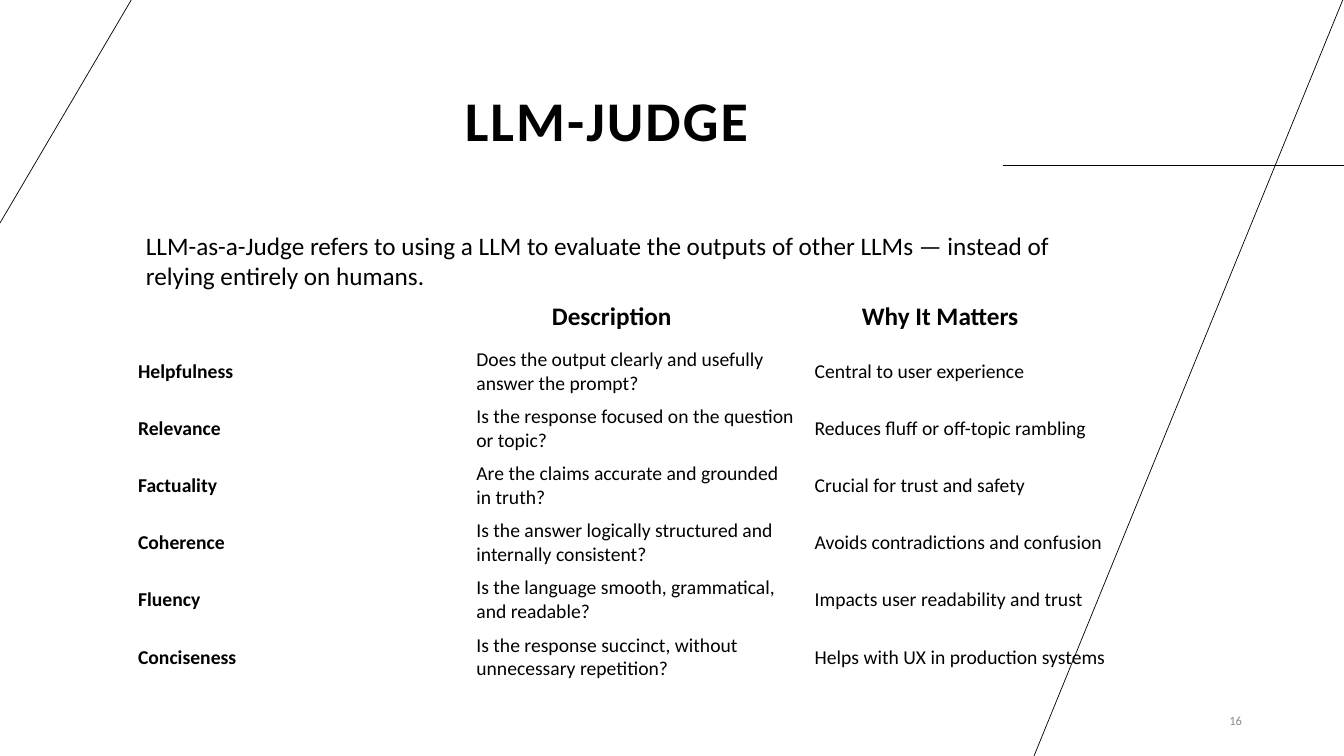
from pptx import Presentation, util as u
from pptx.dml.color import RGBColor
from pptx.enum import shapes, text
from pptx.oxml.ns import qn
from lxml import etree

BLACK = RGBColor(0x00, 0x00, 0x00)
GRAY = RGBColor(0x8C, 0x8C, 0x8C)
FONT = "Calibri"
NO_GRID = "{2D5ABB26-0587-4C30-8999-92F81FD0307C}"


def px(*vals):
    return [u.Emu(round(v * 914400 / 100.8)) for v in vals]


def add_run(par, words, size, bold=False, color=BLACK):
    run = par.add_run()
    run.text = words
    run.font.name = FONT
    run.font.size = u.Pt(size)
    run.font.bold = bold
    run.font.color.rgb = color
    return run


prs = Presentation()
prs.slide_width, prs.slide_height = px(1344, 756)
slide = prs.slides.add_slide(prs.slide_layouts[5])

# Thin decorative lines
for ends in [(1003, 165, 1344, 165), (1344, -3, 1034, 756), (0, 223, 133, -3)]:
    line = slide.shapes.add_connector(shapes.MSO_CONNECTOR.STRAIGHT, *px(*ends))
    line.line.color.rgb = BLACK
    line.line.width = u.Pt(0.5)
    etree.SubElement(line._element.spPr, qn("a:effectLst"))

# Title
title = slide.shapes.title
title.left, title.top, title.width, title.height = px(99, -75, 1015, 234)
frame = title.text_frame
frame.vertical_anchor = text.MSO_ANCHOR.BOTTOM
frame.word_wrap = True
par = frame.paragraphs[0]
par.alignment = text.PP_ALIGN.CENTER
par.line_spacing = 0.9
run = add_run(par, "LLM-JUDGE", 40, True)
run._r.get_or_add_rPr().set("spc", "150")

# Intro, column heads and page number
LEFT, RIGHT = text.PP_ALIGN.LEFT, text.PP_ALIGN.RIGHT
TOP, MID = text.MSO_ANCHOR.TOP, text.MSO_ANCHOR.MIDDLE
intro = ("LLM-as-a-Judge refers to using a LLM to evaluate the outputs of "
         "other LLMs — instead of relying entirely on humans.")
labels = [
    (intro, (136, 225, 941, 72), 18, False, BLACK, LEFT, TOP, True),
    ("Why It Matters", (852, 295, 185, 40), 18, True, BLACK, LEFT, TOP, False),
    ("Description", (542, 295, 145, 72), 18, True, BLACK, LEFT, TOP, False),
    ("16", (1143, 701, 109, 40), 9, False, GRAY, RIGHT, MID, True),
]
for words, area, size, bold, color, align, anchor, wrap in labels:
    frame = slide.shapes.add_textbox(*px(*area)).text_frame
    frame.word_wrap = wrap
    frame.vertical_anchor = anchor
    par = frame.paragraphs[0]
    par.alignment = align
    add_run(par, words, size, bold, color)

# Criteria table
rows = [
    ("Helpfulness", "Does the output clearly and usefully answer the prompt?",
     "Central to user experience"),
    ("Relevance", "Is the response focused on the question or topic?",
     "Reduces fluff or off-topic rambling"),
    ("Factuality", "Are the claims accurate and grounded in truth?",
     "Crucial for trust and safety"),
    ("Coherence", "Is the answer logically structured and internally consistent?",
     "Avoids contradictions and confusion"),
    ("Fluency", "Is the language smooth, grammatical, and readable?",
     "Impacts user readability and trust"),
    ("Conciseness", "Is the response succinct, without unnecessary repetition?",
     "Helps with UX in production systems"),
]
grid = slide.shapes.add_table(len(rows), 3, *px(128, 343, 1015, 343)).table
grid.first_row = grid.horz_banding = False
grid._tbl.tblPr.find(qn("a:tableStyleId")).text = NO_GRID
for i, row in enumerate(rows):
    for j, words in enumerate(row):
        cell = grid.cell(i, j)
        cell.fill.background()
        cell.vertical_anchor = MID
        cell.margin_top, cell.margin_bottom = px(4, 4)
        add_run(cell.text_frame.paragraphs[0], words, 14, j == 0)

prs.save("out.pptx")
